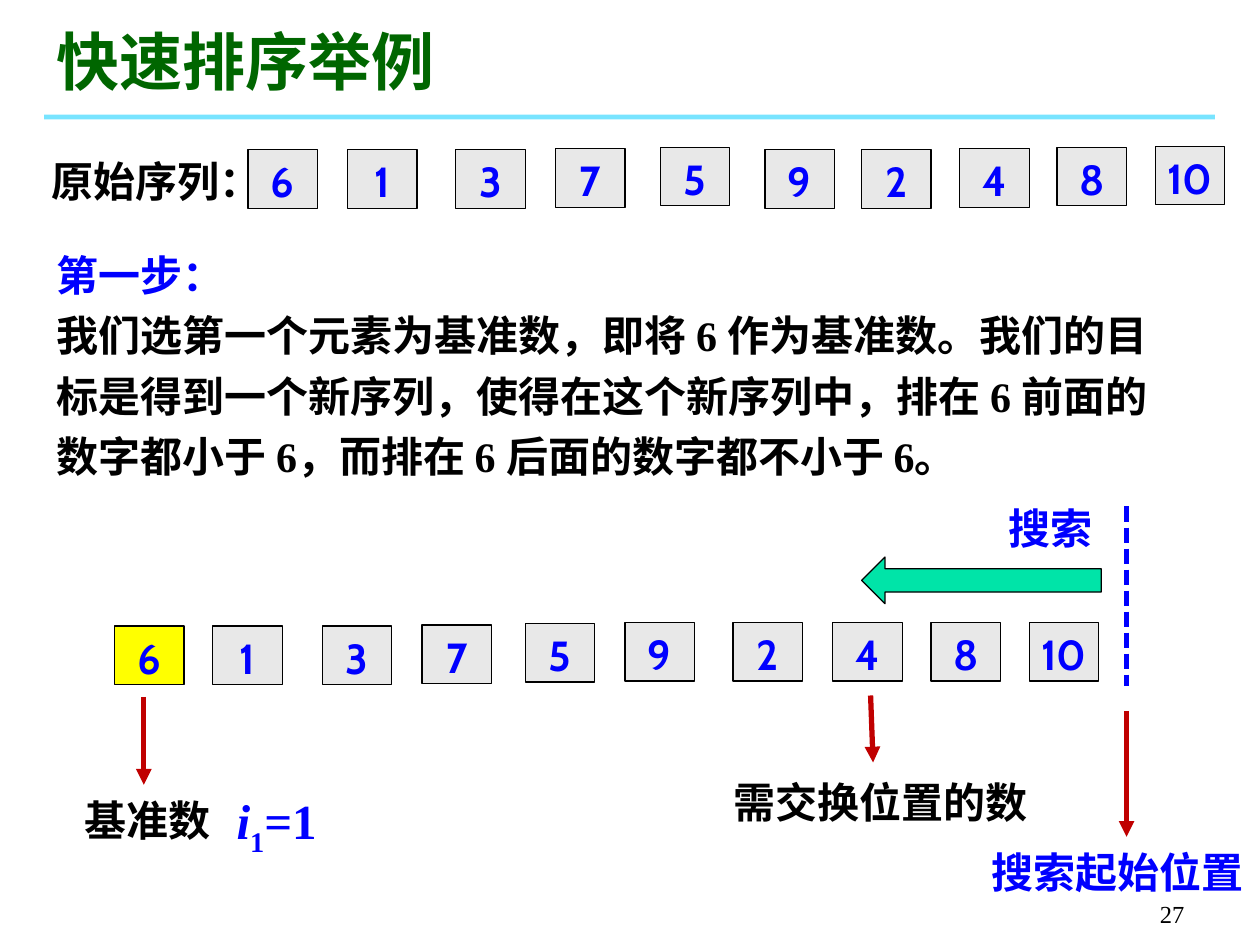
from dataclasses import dataclass

from lxml.etree import SubElement
from pptx import Presentation
from pptx.dml.color import RGBColor
from pptx.enum.dml import MSO_LINE
from pptx.enum.shapes import MSO_CONNECTOR, MSO_SHAPE
from pptx.enum.text import MSO_ANCHOR, MSO_AUTO_SIZE, PP_ALIGN
from pptx.oxml.ns import qn
from pptx.shapes.autoshape import Shape
from pptx.shapes.connector import Connector
from pptx.slide import Slide
from pptx.text.text import _Paragraph
from pptx.util import Cm, Pt

BLACK, BLUE, GREEN, RED = "000000", "0000FF", "006600", "C00000"
GREY, YELLOW, TEAL, CYAN = "E8E8E8", "FFFF00", "00E4A8", "00CCFF"
SERIF, SANS, MONO = "Times New Roman", "Cabin", "DejaVu Sans Mono"
NUMBERS = (6, 1, 3, 7, 5, 9, 2, 4, 8, 10)


@dataclass(frozen=True)
class Box:
    left: float
    top: float
    width: float
    height: float

    def lengths(self) -> tuple[Cm, Cm, Cm, Cm]:
        return Cm(self.left), Cm(self.top), Cm(self.width), Cm(self.height)


@dataclass(frozen=True)
class Row:
    lefts: tuple[float, ...]
    tops: tuple[float, ...]
    first_fill: str = GREY


@dataclass(frozen=True)
class Label:
    text: str
    box: Box
    color: str = BLACK
    font: str = SANS
    size: float = 24
    bold: bool = True
    wrap: bool = False
    grow: bool = True
    anchor: MSO_ANCHOR = MSO_ANCHOR.TOP
    align: PP_ALIGN = PP_ALIGN.LEFT
    spacing: float = 1.0


@dataclass(frozen=True)
class Pointer:
    start: tuple[float, float]
    end: tuple[float, float]


ROWS = (
    Row((5, 7.01, 9.19, 11.2, 13.31, 15.42, 17.37, 19.35, 21.31, 23.29),
        (3.02, 3.02, 3.02, 3, 2.97, 3.02, 3.02, 3, 2.97, 2.95)),
    Row((2.31, 4.29, 6.5, 8.51, 10.59, 12.6, 14.78, 16.79, 18.77, 20.75),
        (12.62, 12.62, 12.62, 12.6, 12.57) + (12.55,) * 5, YELLOW),
)
TITLE = Label("快速排序举例", Box(0.89, 0.33, 13.61, 1.78), GREEN, SERIF, 36,
              wrap=True, anchor=MSO_ANCHOR.BOTTOM)
LABELS = (
    Label("27", Box(18.85, 17.58, 5.28, 1.27), font=SERIF, size=14, bold=False,
          wrap=True, grow=False, anchor=MSO_ANCHOR.BOTTOM, align=PP_ALIGN.RIGHT),
    Label("原始序列：", Box(0.79, 2.9, 5, 1.4), font=MONO, wrap=True,
          anchor=MSO_ANCHOR.MIDDLE, spacing=1.1),
    Label("搜索起始位置", Box(19.74, 16.94, 5.66, 1.27), BLUE),
    Label("基准数", Box(1.45, 15.9, 3.1, 1.27)),
    Label("需交换位置的数", Box(14.53, 15.52, 6.53, 1.27)),
    Label("搜索", Box(20.09, 10.01, 2.24, 1.27), BLUE),
)
STEP = Label(
    "第一步：\n我们选第一个元素为基准数，即将 6 作为基准数。我们的目标是得到一个新序列，"
    "使得在这个新序列中，排在 6 前面的数字都小于 6，而排在 6 后面的数字都不小于 6。",
    Box(0.89, 4.7, 23.24, 5.18), font=SERIF, wrap=True, spacing=1.2)
PIVOT_INDEX = Label("i", Box(4.52, 15.82, 2.18, 1.45), BLUE, SERIF, 28)
POINTERS = (
    Pointer((2.9, 14.05), (2.9, 15.82)),
    Pointer((17.55, 14.02), (17.6, 15.37)),
    Pointer((22.71, 14.33), (22.71, 16.87)),
)


def rgb(color: str) -> RGBColor:
    """Turn a hex string into a colour."""
    return RGBColor.from_string(color)


def style_paragraph(paragraph: _Paragraph, label: Label) -> None:
    """Apply the label's alignment and font to a paragraph."""
    paragraph.alignment = label.align
    paragraph.line_spacing = label.spacing
    paragraph.space_before = Pt(0)
    font = paragraph.font
    font.name, font.size, font.bold = label.font, Pt(label.size), label.bold
    font.color.rgb = rgb(label.color)


def write_text(shape: Shape, label: Label) -> None:
    """Fill a shape with the label's text."""
    frame = shape.text_frame
    frame.text = label.text
    frame.word_wrap = label.wrap
    frame.vertical_anchor = label.anchor
    frame.auto_size = (MSO_AUTO_SIZE.SHAPE_TO_FIT_TEXT if label.grow
                       else MSO_AUTO_SIZE.NONE)
    for paragraph in frame.paragraphs:
        style_paragraph(paragraph, label)


def add_label(slide: Slide, label: Label) -> Shape:
    """Add a text box for the label."""
    shape = slide.shapes.add_textbox(*label.box.lengths())
    write_text(shape, label)
    return shape


def add_block(slide: Slide, kind: MSO_SHAPE, box: Box, fill: str) -> Shape:
    """Add a filled preset shape with a thin black outline."""
    shape = slide.shapes.add_shape(kind, *box.lengths())
    shape.shadow.inherit = False
    shape.fill.solid()
    shape.fill.fore_color.rgb = rgb(fill)
    shape.line.color.rgb = rgb(BLACK)
    shape.line.width = Pt(0.75)
    return shape


def add_row(slide: Slide, row: Row) -> None:
    """Draw one sequence of numbered cells."""
    for index, (number, left, top) in enumerate(zip(NUMBERS, row.lefts, row.tops)):
        box = Box(left, top, 1.4, 1.18)
        cell = add_block(slide, MSO_SHAPE.RECTANGLE, box, GREY if index else row.first_fill)
        write_text(cell, Label(str(number), box, BLUE, grow=False, align=PP_ALIGN.CENTER))


def add_line(slide: Slide, pointer: Pointer, color: str) -> Connector:
    """Add a thick straight connector without a shadow."""
    line = slide.shapes.add_connector(
        MSO_CONNECTOR.STRAIGHT, *map(Cm, pointer.start + pointer.end))
    line.line.color.rgb = rgb(color)
    line.line.width = Pt(3)
    SubElement(line._element.spPr, qn("a:effectLst"))
    return line


def add_pointer(slide: Slide, pointer: Pointer) -> None:
    """Add a red line that ends in a triangle."""
    line = add_line(slide, pointer, RED)
    SubElement(line.line._get_or_add_ln(), qn("a:tailEnd"), type="triangle")


def add_title(slide: Slide) -> None:
    """Place the title above its translucent rule."""
    rule = add_block(slide, MSO_SHAPE.RECTANGLE, Box(0.89, 2.31, 23.6, 0.1), CYAN)
    rule.line.fill.background()
    tint = rule._element.spPr.find(".//" + qn("a:srgbClr"))
    SubElement(tint, qn("a:alpha"), val="53000")
    title = slide.shapes.title
    title.left, title.top, title.width, title.height = TITLE.box.lengths()
    write_text(title, TITLE)


def add_pivot_index(slide: Slide) -> None:
    """Write the pivot index with an italic letter and a subscript."""
    paragraph = add_label(slide, PIVOT_INDEX).text_frame.paragraphs[0]
    paragraph.runs[0].font.italic = True
    subscript = paragraph.add_run()
    subscript.text = "1"
    subscript._r.get_or_add_rPr().set("baseline", "-25000")
    paragraph.add_run().text = "=1"


def main() -> None:
    """Build and save the slide."""
    deck = Presentation()
    deck.slide_width, deck.slide_height = Cm(25.4), Cm(19.05)
    slide = deck.slides.add_slide(deck.slide_layouts[5])
    add_title(slide)
    for label in LABELS:
        add_label(slide, label)
    heading = add_label(slide, STEP).text_frame.paragraphs[0]
    heading.font.color.rgb = rgb(BLUE)
    for row in ROWS:
        add_row(slide, row)
    add_block(slide, MSO_SHAPE.LEFT_ARROW, Box(17.37, 11.23, 4.83, 0.94), TEAL)
    search_start = add_line(slide, Pointer((22.71, 10.21), (22.71, 13.82)), BLUE)
    search_start.line.dash_style = MSO_LINE.SQUARE_DOT
    for pointer in POINTERS:
        add_pointer(slide, pointer)
    add_pivot_index(slide)
    deck.save("out.pptx")


if __name__ == "__main__":
    main()
